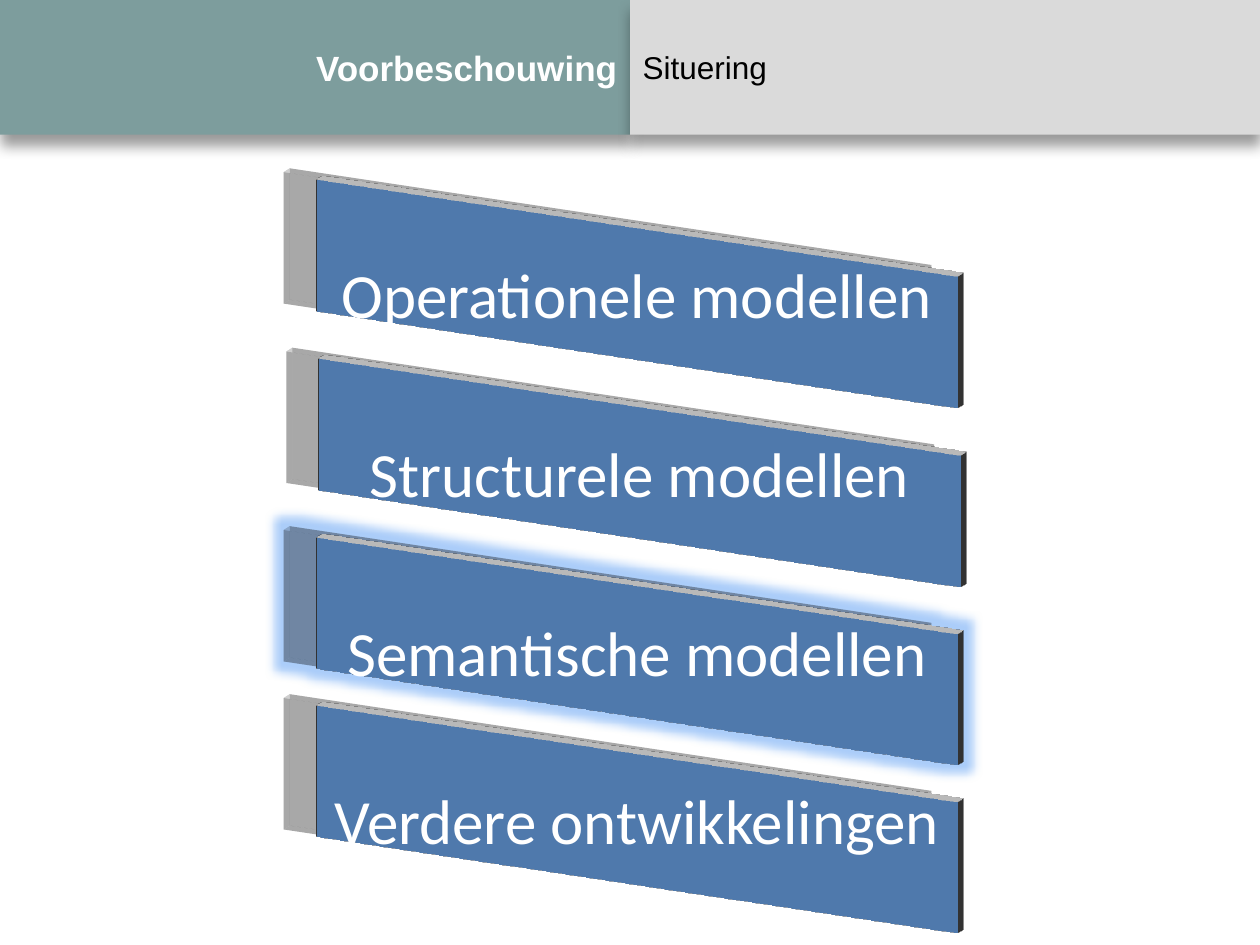
"""Builds a slide with a split header and four raised bars naming the kinds of models."""
from lxml import etree
from pptx import Presentation
from pptx.dml.color import RGBColor as Rgb
from pptx.enum.text import MSO_ANCHOR as Anchor, MSO_AUTO_SIZE as Fit, PP_ALIGN as Align
from pptx.enum.shapes import MSO_SHAPE as Kind
from pptx.oxml import parse_xml
from pptx.oxml.ns import qn
from pptx.util import Pt

NS = 'xmlns:a="http://schemas.openxmlformats.org/drawingml/2006/main"'
SHADE = ('<a:outerShdw {} blurRad="{}" dist="{}" dir="{}" algn="tl" rotWithShape="0">'
         '<a:srgbClr val="000000"><a:alpha val="{}"/></a:srgbClr></a:outerShdw>')
GLOW = (f'<a:glow {NS} rad="{Pt(11)}"><a:srgbClr val="2D82F0">'
        '<a:alpha val="40000"/></a:srgbClr></a:glow>')
SCENE = (f'<a:scene3d {NS}><a:camera prst="isometricOffAxis2Left"/>'
         '<a:lightRig rig="threePt" dir="t"/></a:scene3d>')
DEPTH = (f'<a:sp3d {NS} extrusionH="{Pt(8)}"><a:extrusionClr>'
         '<a:srgbClr val="FFFFFF"/></a:extrusionClr></a:sp3d>')


def color(code):
    """Turns a hex string into a colour."""
    return Rgb.from_string(code)


def style(shape, text, box, fill, size, font, ink, align, bold=False,
          shade=(40, 8, 6, 90), line=None):
    """Places a shape, fills it, casts its shadow and writes its text."""
    shape.left, shape.top, shape.width, shape.height = map(Pt, box)
    shape.fill.solid()
    shape.fill.fore_color.rgb = color(fill)
    if line:
        shape.line.color.rgb = color(line)
        shape.line.width = Pt(2)
    else:
        shape.line.fill.background()
    shape.shadow.inherit = False
    alpha, blur, dist, angle = shade
    cast = SHADE.format(NS, Pt(blur), Pt(dist), angle * 60000, alpha * 1000)
    shape._element.spPr.find(qn("a:effectLst")).append(parse_xml(cast))
    frame = shape.text_frame
    frame.word_wrap = True
    frame.auto_size = Fit.NONE
    frame.vertical_anchor = Anchor.MIDDLE
    para = frame.paragraphs[0]
    para.alignment = align
    para.space_before = Pt(0)
    run = para.add_run()
    run.text = text
    run.font.size = Pt(size)
    run.font.name = font
    run.font.bold = bold
    run.font.color.rgb = color(ink)


deck = Presentation()
deck.slide_width, deck.slide_height = Pt(720), Pt(540)
slide = deck.slides.add_slide(deck.slide_layouts[1])
title, body = slide.placeholders

style(title, "Voorbeschouwing", (0, 0, 360, 77), "7D9D9D", 20, "Arial", "FFFFFF",
      Align.RIGHT, bold=True)
style(body, "Situering", (360, 0, 360, 77), "DADADA", 18, "Arial", "000000", Align.LEFT)
props = body.text_frame.paragraphs[0]._p.get_or_add_pPr()
props.set("marL", str(Pt(27)))
props.set("indent", str(-Pt(27)))
etree.SubElement(props, qn("a:buNone"))

bars = [
    ("Semantische modellen", 160, 332.5),
    ("Structurele modellen", 161.5, 230.5),
    ("Operationele modellen", 160, 128),
    ("Verdere ontwikkelingen", 160, 428.5),
]
for text, left, top in bars:
    bar = slide.shapes.add_shape(Kind.RECTANGLE, 0, 0, 0, 0)
    style(bar, text, (left, top, 408, 79), "376092", 36, "Calibri", "FFFFFF",
          Align.CENTER, shade=(18, 14.5, 19, 192), line="D9D9D9")
    look = bar._element.spPr
    if text.startswith("Semantische"):
        look.find(qn("a:effectLst")).insert(0, parse_xml(GLOW))
    look.append(parse_xml(SCENE))
    look.append(parse_xml(DEPTH))

deck.save("out.pptx")
